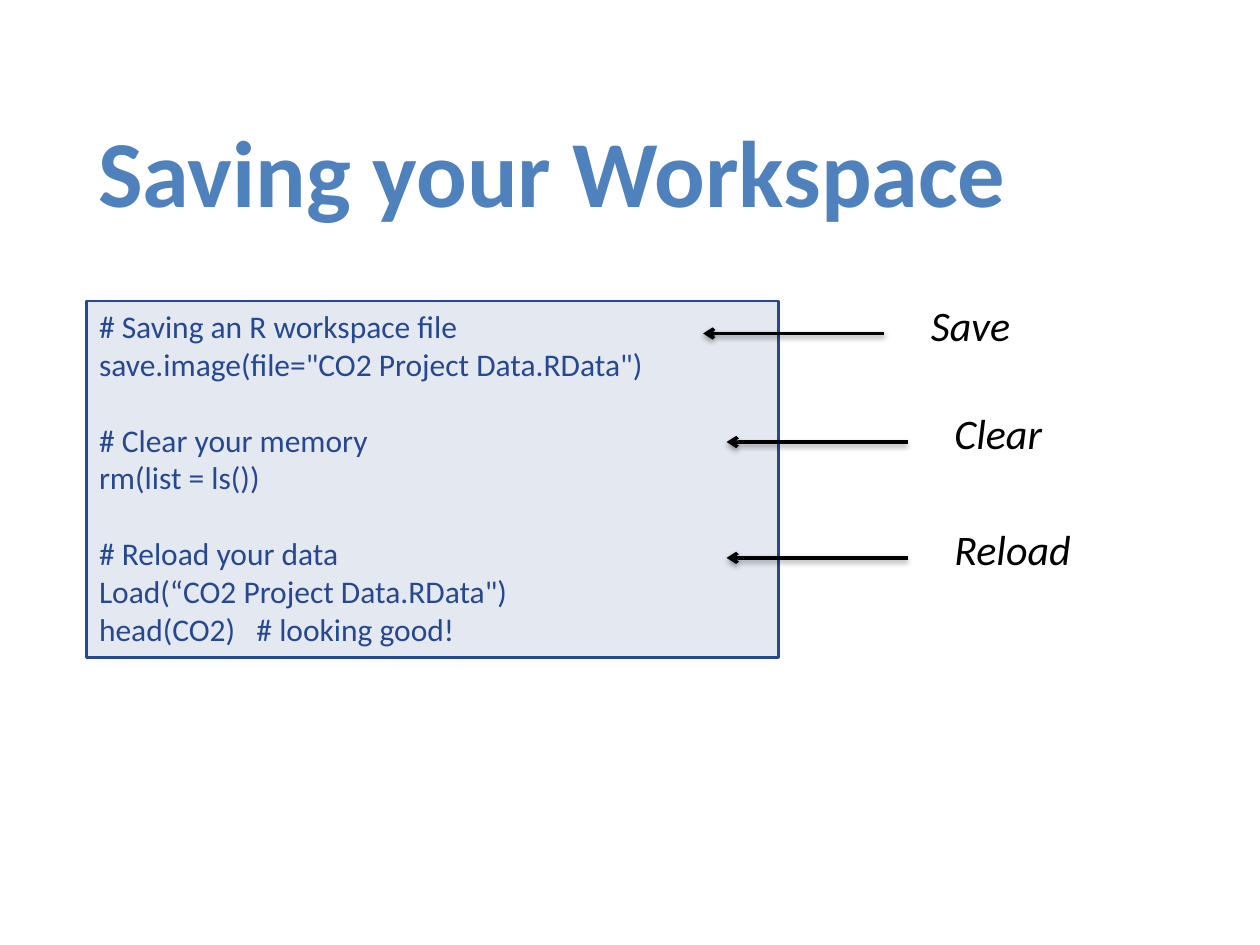
from lxml.etree import SubElement
from pptx import Presentation
from pptx.dml.color import RGBColor
from pptx.enum.shapes import MSO_CONNECTOR, MSO_SHAPE
from pptx.enum.text import MSO_ANCHOR, PP_ALIGN
from pptx.oxml import parse_xml
from pptx.oxml.ns import nsdecls, qn
from pptx.util import Pt

TITLE = "Saving your Workspace"
CODE = [
    ["# Saving an R workspace file", 'save.image(file="CO2 Project Data.RData")'],
    ["# Clear your memory", "rm(list = ls())"],
    ["# Reload your data", 'Load(“CO2 Project Data.RData")', "head(CO2)   # looking good!"],
]
CALLOUTS = [
    ("Save", 401.8, 190.6, 91.4),
    ("Clear", 415.2, 252.6, 91.4),
    ("Reload", 415.2, 318.8, 110.9),
]
THEME = {
    "font": "Calibri",
    "title": RGBColor(0x4F, 0x81, 0xBD),
    "code": RGBColor(0x26, 0x48, 0x90),
    "ink": RGBColor(0, 0, 0),
    "title_size": 54,
    "code_size": 18,
    "label_size": 24,
}
ARROW_LENGTH = 103.5
LABEL_GAP = 19.6
LABEL_RISE = 23
CODE_GAP = 21.6
SHADOW = (
    f'<a:effectLst {nsdecls("a")}>'
    '<a:outerShdw blurRad="40000" dist="20000" dir="5400000" rotWithShape="0">'
    '<a:srgbClr val="000000"><a:alpha val="38000"/></a:srgbClr>'
    "</a:outerShdw></a:effectLst>"
)


def style(para, size, color, bold=False, italic=False):
    para.alignment = PP_ALIGN.LEFT
    font = para.font
    font.name = THEME["font"]
    font.size = Pt(size)
    font.color.rgb = color
    font.bold = bold
    font.italic = italic


def add_text(shapes, text, left, top, width, height):
    box = shapes.add_textbox(Pt(left), Pt(top), Pt(width), Pt(height))
    box.text_frame.word_wrap = True
    para = box.text_frame.paragraphs[0]
    para.text = text
    return box, para


def add_code(page):
    box = page.shapes.add_shape(MSO_SHAPE.RECTANGLE, Pt(49.5), Pt(172), Pt(395.3), Pt(203.8))
    box.shadow.inherit = False
    box.fill.solid()
    box.fill.fore_color.rgb = THEME["code"]
    fill_color = box.fill._xPr.find(qn("a:solidFill"))[0]
    SubElement(fill_color, qn("a:alpha"), val="12000")
    box.line.color.rgb = THEME["code"]
    box.line.width = Pt(1.5)
    frame = box.text_frame
    frame.word_wrap = True
    frame.vertical_anchor = MSO_ANCHOR.TOP
    for block_index, block in enumerate(CODE):
        for line_index, line in enumerate(block):
            first = block_index == line_index == 0
            para = frame.paragraphs[0] if first else frame.add_paragraph()
            para.text = line
            style(para, THEME["code_size"], THEME["code"])
            if block_index and line_index == 0:
                para.space_before = Pt(CODE_GAP)


def add_callout(page, text, tip, middle, width):
    group = page.shapes.add_group_shape()
    start = tip + ARROW_LENGTH
    arrow = group.shapes.add_connector(
        MSO_CONNECTOR.STRAIGHT, Pt(start), Pt(middle), Pt(tip), Pt(middle)
    )
    arrow.line.color.rgb = THEME["ink"]
    arrow.line.width = Pt(2)
    SubElement(arrow.line._get_or_add_ln(), qn("a:tailEnd"), type="arrow")
    arrow._element.spPr.append(parse_xml(SHADOW))
    box, para = add_text(group.shapes, text, start + LABEL_GAP, middle - LABEL_RISE, width, 36)
    style(para, THEME["label_size"], THEME["ink"], italic=True)


def main():
    deck = Presentation()
    deck.slide_width, deck.slide_height = Pt(720), Pt(540)
    page = deck.slides.add_slide(deck.slide_layouts[6])
    add_code(page)
    for callout in CALLOUTS:
        add_callout(page, *callout)
    box, para = add_text(page.shapes, TITLE, 49, 43.2, 648, 90)
    box.text_frame.vertical_anchor = MSO_ANCHOR.BOTTOM
    style(para, THEME["title_size"], THEME["title"], bold=True)
    deck.save("out.pptx")


if __name__ == "__main__":
    main()
